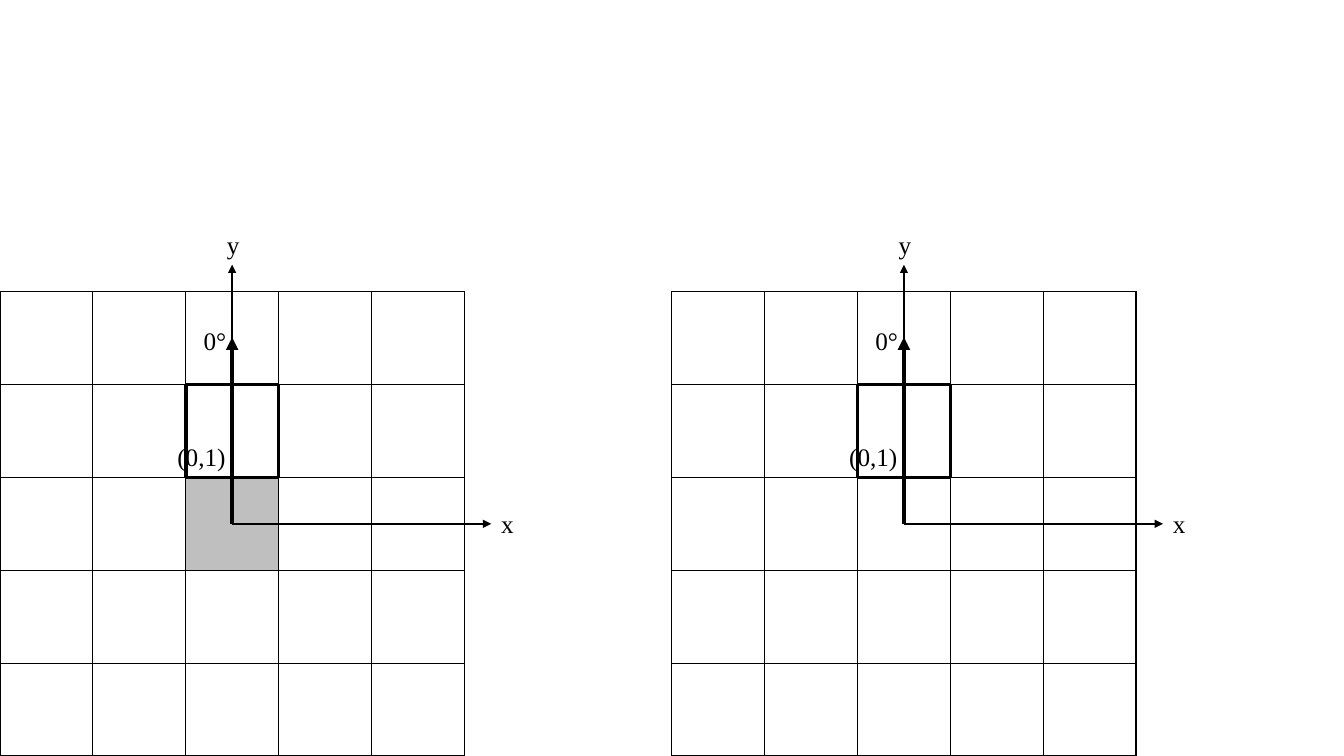
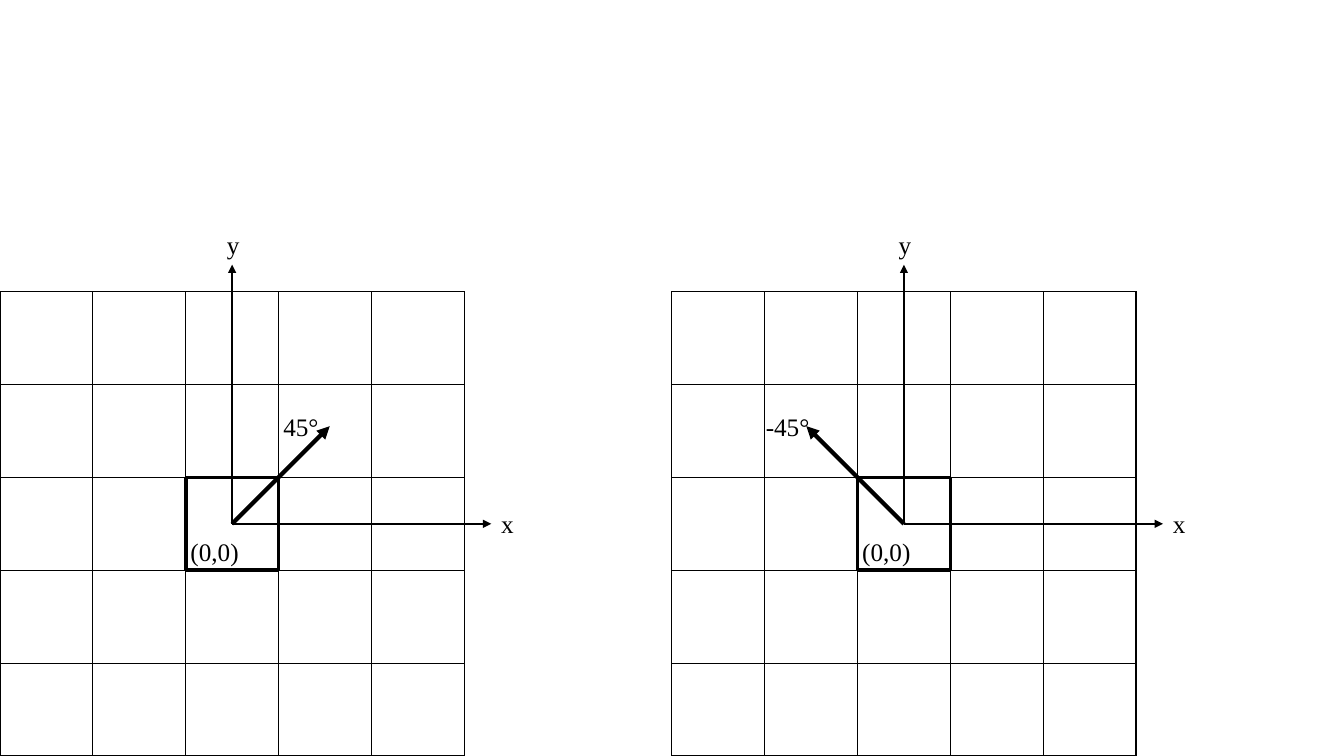
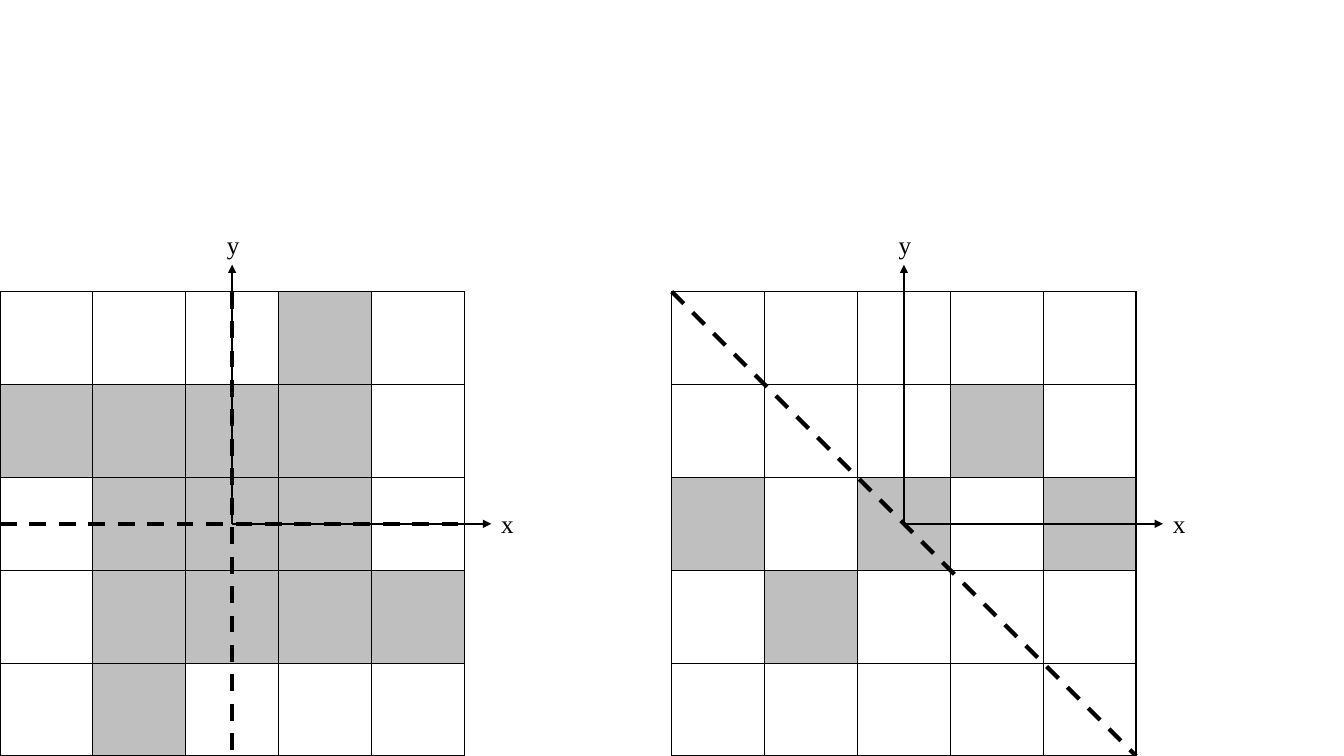
from lxml import etree
from pptx import Presentation
from pptx.dml.color import RGBColor
from pptx.enum.dml import MSO_LINE
from pptx.enum.shapes import MSO_CONNECTOR
from pptx.enum.text import MSO_AUTO_SIZE
from pptx.oxml import parse_xml
from pptx.oxml.ns import nsdecls, qn
from pptx.util import Cm, Pt

STRAIGHT = MSO_CONNECTOR.STRAIGHT
DASH = MSO_LINE.DASH
FIT_SHAPE = MSO_AUTO_SIZE.SHAPE_TO_FIT_TEXT

BLACK = "000000"
GREY = "BFBFBF"
FONT = "Times New Roman"
THIN, THICK = 1, 3

COUNT = 5
CELL = 2.34
SIDE = COUNT * CELL
HALF = SIDE / 2
TOP = 7.35
LEFT_BOARD, RIGHT_BOARD = 0, 16.93
AXIS = 6.53
DIAGONAL = 2.46
UPRIGHT = 4.7
NEIGHBOURS = {"lnL": (0, -1), "lnR": (0, 1), "lnT": (-1, 0), "lnB": (1, 0)}

CENTRE_SHADED = [".....", ".....", "..#..", ".....", "....."]
PINWHEEL = ["...#.", "####.", ".###.", ".####", ".#..."]
SCATTERED = [".....", "...#.", "#.#.#", ".#...", "....."]


def colour(value):
    return RGBColor.from_string(value)


def add_border(cell, side, width):
    cell._tc.get_or_add_tcPr().append(parse_xml(
        f'<a:{side} {nsdecls("a")} w="{Pt(width)}"><a:solidFill>'
        f'<a:srgbClr val="{BLACK}"/></a:solidFill></a:{side}>'))


def add_board(page, left, shading=None, framed=None):
    frame = page.shapes.add_table(
        COUNT, COUNT, Cm(left), Cm(TOP), Cm(SIDE), Cm(SIDE))
    table = frame.table
    table.first_row = False
    table.horz_banding = False
    for row in range(COUNT):
        for column in range(COUNT):
            cell = table.cell(row, column)
            for side, (down, across) in NEIGHBOURS.items():
                touching = [(row, column), (row + down, column + across)]
                add_border(cell, side, THICK if framed in touching else THIN)
            if shading and shading[row][column] == "#":
                cell.fill.solid()
                cell.fill.fore_color.rgb = colour(GREY)
            else:
                cell.fill.background()


def add_line(page, left, start, end, width=THIN, arrow=False, dashed=False):
    centre_x, centre_y = left + HALF, TOP + HALF
    line = page.shapes.add_connector(
        STRAIGHT,
        Cm(centre_x + start[0]), Cm(centre_y + start[1]),
        Cm(centre_x + end[0]), Cm(centre_y + end[1]))
    line.line.color.rgb = colour(BLACK)
    line.line.width = Pt(width)
    if dashed:
        line.line.dash_style = DASH
    if arrow:
        etree.SubElement(line.line._get_or_add_ln(), qn("a:tailEnd"),
                         type="triangle")
    etree.SubElement(line._element.spPr, qn("a:effectLst"))


def add_label(page, left, text, x, y, width):
    box = page.shapes.add_textbox(
        Cm(left + HALF + x), Cm(TOP + HALF + y), Cm(width), Cm(1.02))
    box.text_frame.word_wrap = False
    box.text_frame.auto_size = FIT_SHAPE
    para = box.text_frame.paragraphs[0]
    para.text = text
    para.font.name = FONT
    para.font.size = Pt(18)
    para.font.color.rgb = colour(BLACK)


def add_axes(page, left):
    add_line(page, left, (0, 0), (0, -AXIS), arrow=True)
    add_line(page, left, (0, 0), (AXIS, 0), arrow=True)
    add_label(page, left, "y", -0.38, -7.54, 0.84)
    add_label(page, left, "x", AXIS, -0.51, 0.84)


def add_heading(page, left, tip):
    add_line(page, left, (0, 0), tip, THICK, arrow=True)


def add_forward_page(page):
    for left, shading in ((LEFT_BOARD, CENTRE_SHADED), (RIGHT_BOARD, None)):
        add_board(page, left, shading, framed=(1, 2))
        add_label(page, left, "(0,1)", -1.63, -2.21, 1.75)
        add_axes(page, left)
        add_heading(page, left, (0, -UPRIGHT))
        add_label(page, left, "0°", -0.97, -5.13, 1.09)


def add_turn_page(page):
    turns = ((LEFT_BOARD, "45°", 1.04, 1.42, DIAGONAL),
             (RIGHT_BOARD, "-45°", -3.73, 1.63, -DIAGONAL))
    for left, angle, label_x, label_width, tip_x in turns:
        add_board(page, left, framed=(2, 2))
        add_label(page, left, "(0,0)", -1.3, 0.18, 1.75)
        add_axes(page, left)
        add_label(page, left, angle, label_x, -2.97, label_width)
        add_heading(page, left, (tip_x, -DIAGONAL))


def add_symmetry_page(page):
    diagonal = ((-HALF, -HALF), (HALF, HALF))
    horizontal = ((-HALF, 0), (HALF, 0))
    vertical = ((0, -HALF), (0, HALF))
    boards = ((RIGHT_BOARD, SCATTERED, [diagonal]),
              (LEFT_BOARD, PINWHEEL, [horizontal, vertical]))
    for left, shading, mirrors in boards:
        add_board(page, left, shading)
        add_axes(page, left)
        for start, end in mirrors:
            add_line(page, left, start, end, THICK, dashed=True)


def main():
    deck = Presentation()
    deck.slide_width = Cm(33.87)
    deck.slide_height = Cm(19.05)
    for fill_page in (add_forward_page, add_turn_page, add_symmetry_page):
        fill_page(deck.slides.add_slide(deck.slide_layouts[6]))
    deck.save("out.pptx")


main()
